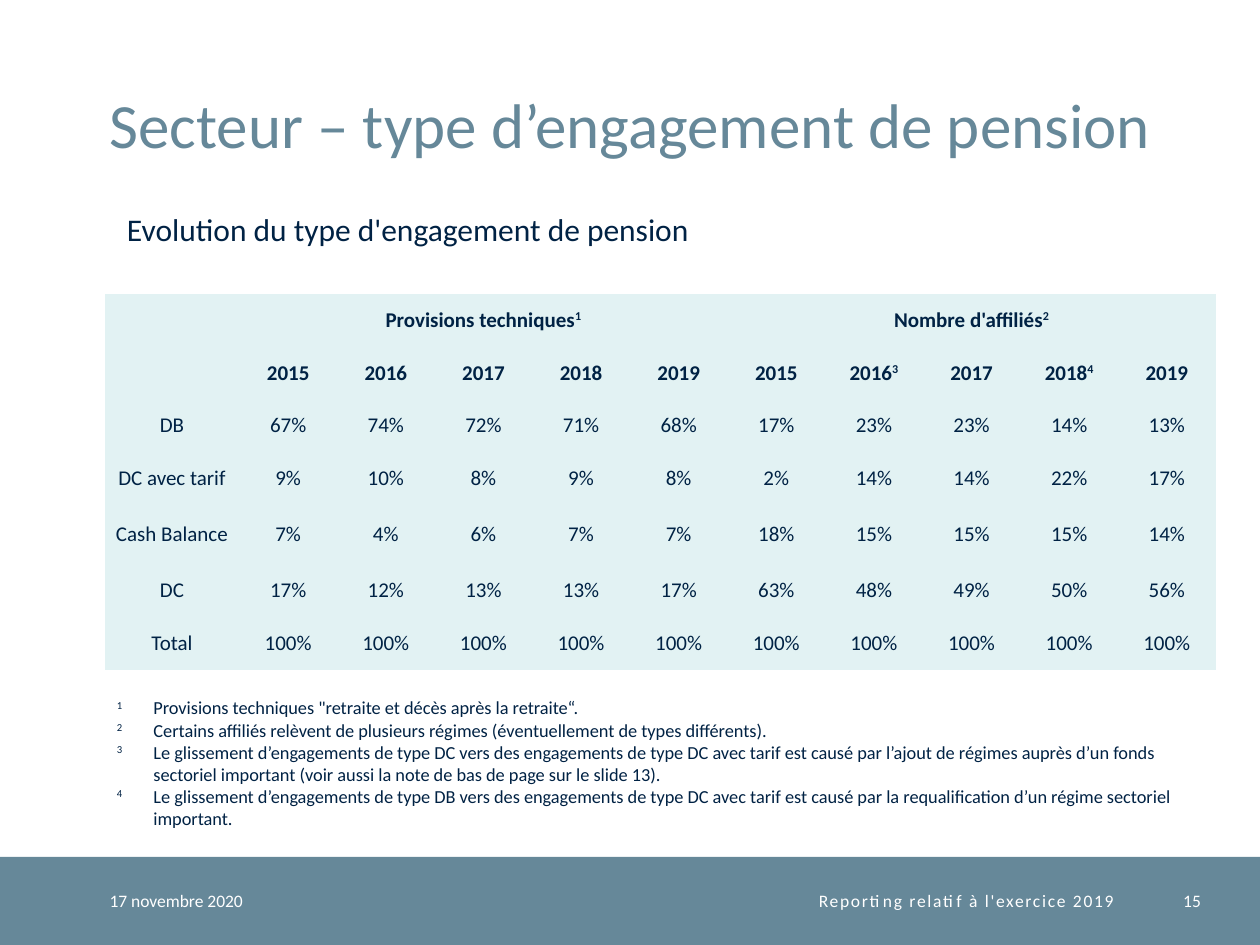
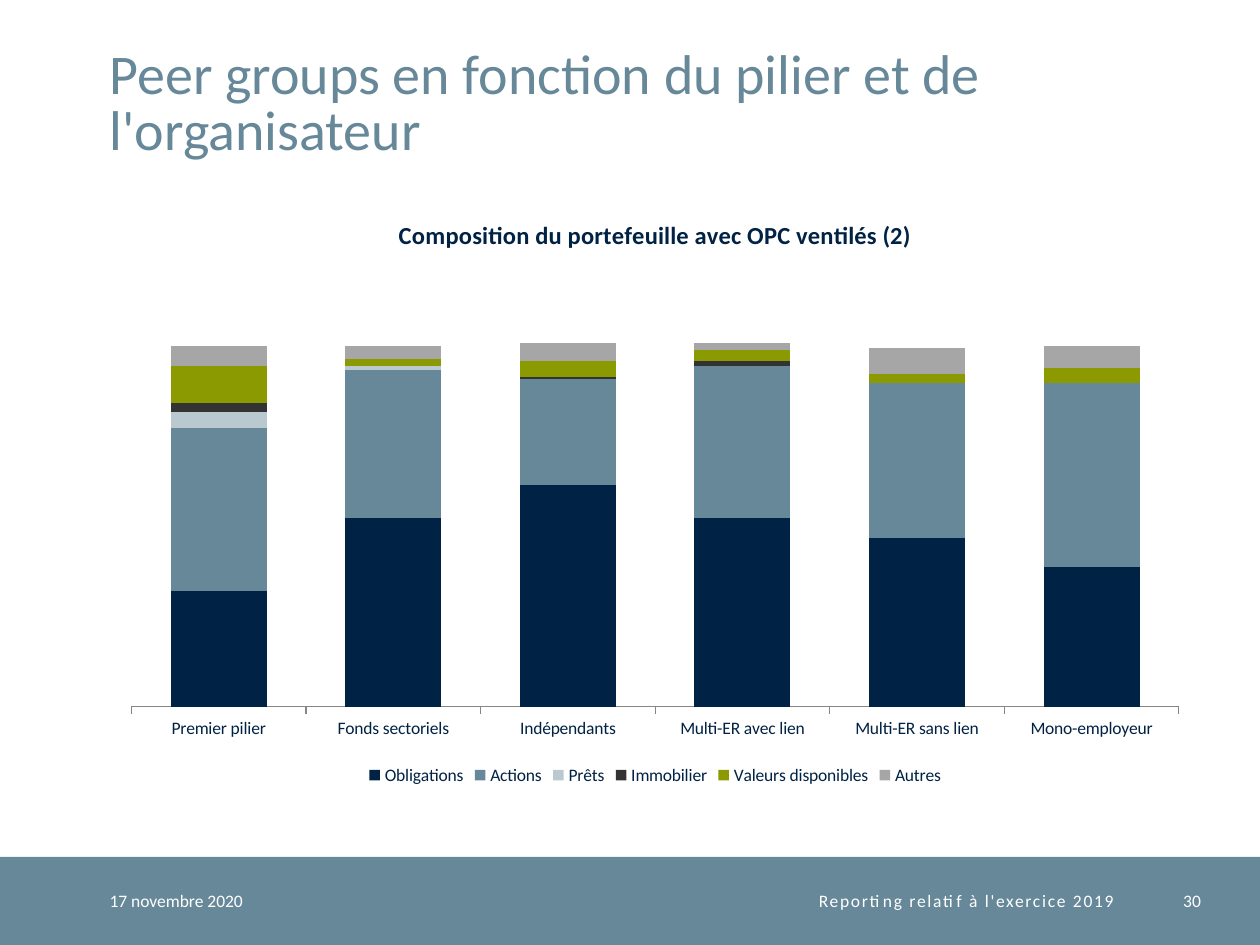
import dataclasses

import pptx
import pptx.chart.data
import pptx.dml.color
import pptx.enum.chart
import pptx.enum.shapes
import pptx.enum.text
import pptx.oxml
import pptx.oxml.ns
import pptx.util

Inches = pptx.util.Inches
Pt = pptx.util.Pt
ALIGN = pptx.enum.text.PP_ALIGN
ANCHOR = pptx.enum.text.MSO_ANCHOR


@dataclasses.dataclass(frozen=True)
class Theme:
    """Colours, font and type sizes that the slides share."""
    font: str = "Calibri"
    navy: str = "002244"
    slate: str = "668899"
    mist: str = "BAC9D0"
    coal: str = "333333"
    olive: str = "8B9A00"
    grey: str = "A6A6A6"
    axis: str = "868686"
    pale: str = "E2F2F3"
    white: str = "FFFFFF"
    footer_size: float = 10
    note_size: float = 10.5
    table_size: float = 12
    subtitle_size: float = 18
    chart_size: float = 10
    chart_title_size: float = 14


THEME = Theme()
NO_TABLE_STYLE = "{2D5ABB26-0587-4C30-8999-92F81FD0307C}"
DATE = "17 novembre 2020"
REPORT = "Reporting relatif à l'exercice 2019"
TITLE_BOX = (0.87, 0.2, 8.63, 1.08)
FOOTER_BOX = (0, 6.8, 10, 0.7)

YEARS = [["2015", "2016", "2017", "2018", "2019"],
         ["2015", ("2016", "3"), "2017", ("2018", "4"), "2019"]]
GROUPS = [("Provisions techniques", "1"), ("Nombre d'affiliés", "2")]
SHARES = {
    "DB": [67, 74, 72, 71, 68, 17, 23, 23, 14, 13],
    "DC avec tarif": [9, 10, 8, 9, 8, 2, 14, 14, 22, 17],
    "Cash Balance": [7, 4, 6, 7, 7, 18, 15, 15, 15, 14],
    "DC": [17, 12, 13, 13, 17, 63, 48, 49, 50, 56],
    "Total": [100] * 10,
}
NOTES = [
    "Provisions techniques \"retraite et décès après la retraite“.",
    "Certains affiliés relèvent de plusieurs régimes (éventuellement de types différents).",
    "Le glissement d’engagements de type DC vers des engagements de type DC avec tarif est causé "
    "par l’ajout de régimes auprès d’un fonds sectoriel important (voir aussi la note de bas de "
    "page sur le slide 13).",
    "Le glissement d’engagements de type DB vers des engagements de type DC avec tarif est causé "
    "par la requalification d’un régime sectoriel important.",
]
PEER_GROUPS = ["Premier pilier", "Fonds sectoriels", "Indépendants",
               "Multi-ER avec lien", "Multi-ER sans lien", "Mono-employeur"]
ASSETS = [
    ("Obligations", [52, 85, 100, 85, 76, 63], THEME.navy),
    ("Actions", [74, 67, 48, 69, 70, 83], THEME.slate),
    ("Prêts", [7, 2, 0, 0, 0, 0], THEME.mist),
    ("Immobilier", [4, 0, 1, 2, 0, 0], THEME.coal),
    ("Valeurs disponibles", [17, 3, 7, 5, 4, 7], THEME.olive),
    ("Autres", [9, 6, 8, 3, 12, 10], THEME.grey),
]


def rgb(value):
    """Turn a hex string into a colour."""
    return pptx.dml.color.RGBColor.from_string(value)


def paint(target, colour):
    """Give a shape, cell or series a solid fill."""
    target.fill.solid()
    target.fill.fore_color.rgb = rgb(colour)


def style(font, size, colour, bold=False):
    """Set the face, size, colour and weight of a font."""
    font.name, font.size, font.bold = THEME.font, Pt(size), bold
    font.color.rgb = rgb(colour)


def raise_span(span):
    """Make a run superscript."""
    span._r.get_or_add_rPr().set("baseline", "30000")


def add_text(page, box, text, size, colour, align=ALIGN.LEFT, anchor=ANCHOR.MIDDLE, inset=0):
    """Add a wrapped one-paragraph text box and return its paragraph."""
    frame = page.shapes.add_textbox(*map(Inches, box)).text_frame
    frame.word_wrap = True
    frame.vertical_anchor = anchor
    frame.margin_left = frame.margin_right = Inches(inset)
    frame.margin_top = frame.margin_bottom = Inches(inset / 2)
    frame.text = text
    para = frame.paragraphs[0]
    para.alignment = align
    style(para.runs[0].font, size, colour)
    return para


def add_footer(page, box, number):
    """Draw the footer band with date, report name and page number."""
    left, top, width, height = box
    band = page.shapes.add_shape(pptx.enum.shapes.MSO_SHAPE.RECTANGLE, *map(Inches, box))
    band.shadow.inherit = False
    paint(band, THEME.slate)
    band.line.fill.background()
    look = (THEME.footer_size, THEME.white)
    add_text(page, (left + 0.87, top, 1.77, height), DATE, *look)
    report = add_text(page, (left + 2.64, top, 6.2, height), REPORT, *look, ALIGN.RIGHT)
    report.runs[0]._r.get_or_add_rPr().set("spc", "100")
    add_text(page, (left + 9.04, top, 0.49, height), str(number), *look, ALIGN.RIGHT)


def add_page(deck, title, title_size, number):
    """Add a blank slide with the shared title and footer."""
    page = deck.slides.add_slide(deck.slide_layouts[6])
    add_footer(page, FOOTER_BOX, number)
    para = add_text(page, TITLE_BOX, title, title_size, THEME.slate, anchor=ANCHOR.BOTTOM)
    para.line_spacing = Pt(32)
    return page


def fill_cell(cell, content, bold):
    """Write a centred cell, with a superscript mark when content is a pair."""
    text, mark = content if isinstance(content, tuple) else (content, "")
    cell.text_frame.text = text
    para = cell.text_frame.paragraphs[0]
    para.alignment = ALIGN.CENTER
    if mark:
        span = para.add_run()
        span.text = mark
        raise_span(span)
    for span in para.runs:
        style(span.font, THEME.table_size, THEME.navy, bold)


def add_shares_table(page, box):
    """Draw the table of pension types by year."""
    left, top, width, height = box
    rows = [["", GROUPS[0], "", "", "", "", GROUPS[1], "", "", "", ""],
            ["", *YEARS[0], *YEARS[1]]]
    rows += [[name, *(f"{share}%" for share in shares)] for name, shares in SHARES.items()]
    frame = page.shapes.add_table(len(rows), len(rows[0]), *map(Inches, box))
    table = frame.table
    table.first_row = table.horz_banding = False
    table._tbl.tblPr.find(pptx.oxml.ns.qn("a:tableStyleId")).text = NO_TABLE_STYLE
    label_width = 1.07
    for index, column in enumerate(table.columns):
        column.width = Inches((width - label_width) / 10 if index else label_width)
    for index, row in enumerate(table.rows):
        row.height = Inches(0.47 if index == 4 else 0.42)
    for row_index, row in enumerate(rows):
        for column_index, content in enumerate(row):
            cell = table.cell(row_index, column_index)
            cell.margin_left = cell.margin_right = cell.margin_top = cell.margin_bottom = 0
            cell.vertical_anchor = ANCHOR.MIDDLE
            paint(cell, THEME.pale)
            if content:
                fill_cell(cell, content, bold=row_index < 2)
    table.cell(0, 0).merge(table.cell(1, 0))
    for first in (1, 6):
        table.cell(0, first).merge(table.cell(0, first + 4))


def add_notes(page, box):
    """Write the numbered footnotes with a hanging indent."""
    frame = page.shapes.add_textbox(*map(Inches, box)).text_frame
    frame.word_wrap = True
    for number, note in enumerate(NOTES, 1):
        para = frame.paragraphs[0] if number == 1 else frame.add_paragraph()
        para.text = str(number)
        properties = para._p.get_or_add_pPr()
        properties.set("marL", str(Inches(0.29)))
        properties.set("indent", str(-Inches(0.29)))
        raise_span(para.runs[0])
        para.add_run().text = "\t" + note
        for span in para.runs:
            style(span.font, THEME.note_size, THEME.navy)


def place_plot(chart, x, y, w, h):
    """Fix the inner plot area as fractions of the chart."""
    sides = "".join(f'<c:{key} val="{value}"/>' for key, value in
                    (("xMode", "edge"), ("yMode", "edge"), ("x", x), ("y", y), ("w", w), ("h", h)))
    layout = pptx.oxml.parse_xml(
        f'<c:layout {pptx.oxml.ns.nsdecls("c")}><c:manualLayout>'
        f'<c:layoutTarget val="inner"/>{sides}</c:manualLayout></c:layout>')
    area = chart._chartSpace.chart.plotArea
    for old in area.findall(pptx.oxml.ns.qn("c:layout")):
        area.remove(old)
    area.insert(0, layout)


def add_portfolio_chart(page, box):
    """Draw the stacked columns of portfolio composition."""
    data = pptx.chart.data.CategoryChartData()
    data.categories = PEER_GROUPS
    for name, values, _ in ASSETS:
        data.add_series(name, values)
    kind = pptx.enum.chart.XL_CHART_TYPE.COLUMN_STACKED
    chart = page.shapes.add_chart(kind, *map(Inches, box), data).chart
    style(chart.font, THEME.chart_size, THEME.navy)
    chart.has_title = True
    chart.chart_title.include_in_layout = False
    heading = chart.chart_title.text_frame
    heading.text = "Composition du portefeuille avec OPC ventilés (2)"
    style(heading.paragraphs[0].runs[0].font, THEME.chart_title_size, THEME.navy, True)
    chart.has_legend = True
    chart.legend.position = pptx.enum.chart.XL_LEGEND_POSITION.BOTTOM
    chart.legend.include_in_layout = False
    plot = chart.plots[0]
    plot.vary_by_categories = False
    plot.gap_width, plot.overlap = 82, 100
    for series, (_, _, colour) in zip(plot.series, ASSETS):
        paint(series.format, colour)
    scale = chart.value_axis
    scale.visible = scale.has_major_gridlines = False
    scale.minimum_scale, scale.maximum_scale = 0, 196
    scale.tick_labels.number_format = "0.00%"
    scale.tick_labels.number_format_is_linked = False
    base = chart.category_axis
    base.major_tick_mark = pptx.enum.chart.XL_TICK_MARK.OUTSIDE
    base.format.line.color.rgb = rgb(THEME.axis)
    place_plot(chart, 0.02, 0.13, 0.96, 0.73)


def build_sector_page(deck):
    """Build the slide on types of pension commitment."""
    page = add_page(deck, "Secteur – type d’engagement de pension", 36, 15)
    add_shares_table(page, (0.83, 2.33, 8.82, 2.99))
    add_text(page, (0.91, 1.62, 8.43, 0.4), "Evolution du type d'engagement de pension",
             THEME.subtitle_size, THEME.navy, anchor=ANCHOR.TOP, inset=0.1)
    add_notes(page, (0.83, 5.48, 8.74, 1.16))


def build_peer_page(deck):
    """Build the slide on peer group portfolios."""
    page = add_page(deck, "Peer groups en fonction du pilier et de l'organisateur", 32, 30)
    add_portfolio_chart(page, (0.87, 1.55, 8.66, 4.72))


def main():
    """Build and save the deck."""
    deck = pptx.Presentation()
    deck.slide_width, deck.slide_height = Inches(10), Inches(7.5)
    build_sector_page(deck)
    build_peer_page(deck)
    deck.save("out.pptx")


if __name__ == "__main__":
    main()
